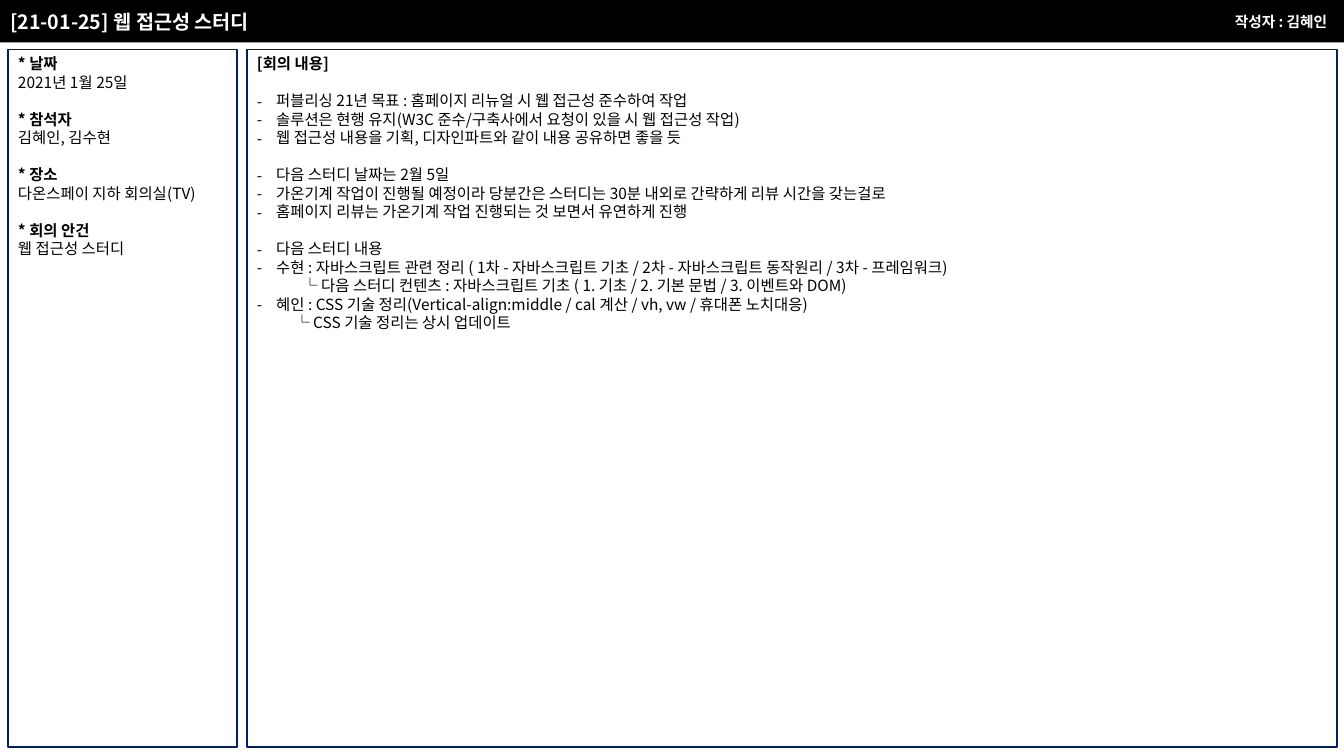
from lxml import etree
from pptx import Presentation
from pptx.dml.color import RGBColor
from pptx.enum.shapes import MSO_SHAPE
from pptx.enum.text import MSO_ANCHOR, PP_ALIGN
from pptx.oxml.ns import qn
from pptx.util import Inches, Pt

RECT = MSO_SHAPE.RECTANGLE
TOP, MIDDLE = MSO_ANCHOR.TOP, MSO_ANCHOR.MIDDLE
LEFT, RIGHT = PP_ALIGN.LEFT, PP_ALIGN.RIGHT

TITLE = "[21-01-25] 웹 접근성 스터디"
AUTHOR = "작성자 : 김혜인"
INFO = [
    ("날짜", "2021년 1월 25일"),
    ("참석자", "김혜인, 김수현"),
    ("장소", "다온스페이 지하 회의실(TV)"),
    ("회의 안건", "웹 접근성 스터디"),
]
NOTES_HEAD = "[회의 내용]"
NOTES = [
    [
        ("bullet", "퍼블리싱 21년 목표 : 홈페이지 리뉴얼 시 웹 접근성 준수하여 작업"),
        ("bullet", "솔루션은 현행 유지(W3C 준수/구축사에서 요청이 있을 시 웹 접근성 작업)"),
        ("bullet", "웹 접근성 내용을 기획, 디자인파트와 같이 내용 공유하면 좋을 듯"),
    ],
    [
        ("bullet", "다음 스터디 날짜는 2월 5일"),
        ("bullet", "가온기계 작업이 진행될 예정이라 당분간은 스터디는 30분 내외로 간략하게 리뷰 시간을 갖는걸로"),
        ("bullet", "홈페이지 리뷰는 가온기계 작업 진행되는 것 보면서 유연하게 진행"),
    ],
    [
        ("bullet", "다음 스터디 내용"),
        ("bullet", "수현 : 자바스크립트 관련 정리 ( 1차 - 자바스크립트 기초 / 2차 - 자바스크립트 동작원리 / 3차 - 프레임워크)"),
        ("deep", "└ 다음 스터디 컨텐츠 : 자바스크립트 기초 ( 1. 기초 / 2. 기본 문법 / 3. 이벤트와 DOM)"),
        ("bullet", "혜인 : CSS 기술 정리(Vertical-align:middle / cal 계산 / vh, vw / 휴대폰 노치대응)"),
        ("sub", "└ CSS 기술 정리는 상시 업데이트"),
    ],
]

THEME = {
    "font": "Noto Sans CJK KR",
    "black": RGBColor(0, 0, 0),
    "white": RGBColor(255, 255, 255),
    "navy": RGBColor(0, 0x20, 0x60),
    "title": Pt(14), "author": Pt(10.5), "body": Pt(11),
    "line": Pt(13.2), "border": Pt(1),
}
INDENTS = {"plain": (0, 0), "bullet": (0.19, -0.19), "deep": (0.45, 0), "sub": (0.37, 0)}

W, H = 13.33, 7.5
BAR_H, MARGIN, GAP, INFO_W = 0.42, 0.08, 0.1, 2.27
PANEL_TOP = BAR_H + 0.07
PANEL_H = H - PANEL_TOP - 0.09
NOTES_X = MARGIN + INFO_W + GAP
NOTES_W = W - NOTES_X - 0.07
AUTHOR_W, AUTHOR_H = 1.39, 0.28


def box(*lengths):
    return [Inches(v) for v in lengths]


def set_frame(tf, anchor):
    frame = {"word_wrap": True, "vertical_anchor": anchor,
             "margin_left": Inches(0.1), "margin_right": Inches(0.1),
             "margin_top": Inches(0.05), "margin_bottom": Inches(0.05)}
    for name, value in frame.items():
        setattr(tf, name, value)


def write(p, text, size, color, bold=False, align=LEFT):
    p.alignment = align
    r = p.add_run()
    r.text = text
    for name, value in {"name": THEME["font"], "size": size, "bold": bold}.items():
        setattr(r.font, name, value)
    r.font.color.rgb = color
    ea = etree.SubElement(r.font._element, qn("a:ea"))
    ea.set("typeface", THEME["font"])


def add_panel(s, area, lines):
    sp = s.shapes.add_shape(RECT, *box(*area))
    sp.shadow.inherit = False
    sp.fill.solid()
    sp.fill.fore_color.rgb = THEME["white"]
    sp.line.color.rgb = THEME["navy"]
    sp.line.width = THEME["border"]
    tf = sp.text_frame
    set_frame(tf, TOP)
    for i, (kind, text, bold, gap) in enumerate(lines):
        p = tf.paragraphs[0] if i == 0 else tf.add_paragraph()
        write(p, text, THEME["body"], THEME["black"], bold)
        p.line_spacing = THEME["line"]
        p.space_before = THEME["line"] if gap else Pt(0)
        pPr = p._p.get_or_add_pPr()
        margin, indent = INDENTS[kind]
        pPr.set("marL", str(Inches(margin)))
        pPr.set("indent", str(Inches(indent)))
        if kind == "bullet":
            etree.SubElement(pPr, qn("a:buFont")).set("typeface", THEME["font"])
            etree.SubElement(pPr, qn("a:buChar")).set("char", "-")


prs = Presentation()
prs.slide_width, prs.slide_height = box(W, H)
s = prs.slides.add_slide(prs.slide_layouts[5])

title = s.shapes.title
for name, value in zip(("left", "top", "width", "height"), box(0, 0, W, BAR_H)):
    setattr(title, name, value)
title.fill.solid()
title.fill.fore_color.rgb = THEME["black"]
set_frame(title.text_frame, MIDDLE)
write(title.text_frame.paragraphs[0], TITLE, THEME["title"], THEME["white"], True)

author = s.shapes.add_textbox(
    *box(W - 0.07 - AUTHOR_W, (BAR_H - AUTHOR_H) / 2, AUTHOR_W, AUTHOR_H))
set_frame(author.text_frame, MIDDLE)
write(author.text_frame.paragraphs[0], AUTHOR, THEME["author"], THEME["white"], True, RIGHT)

info_lines = []
for i, (label, value) in enumerate(INFO):
    info_lines += [("plain", f"* {label}", True, i > 0), ("plain", value, False, False)]
note_lines = [("plain", NOTES_HEAD, True, False)]
for group in NOTES:
    note_lines += [(kind, text, False, i == 0) for i, (kind, text) in enumerate(group)]

add_panel(s, (NOTES_X, PANEL_TOP, NOTES_W, PANEL_H), note_lines)
add_panel(s, (MARGIN, PANEL_TOP, INFO_W, PANEL_H), info_lines)

prs.save("out.pptx")
